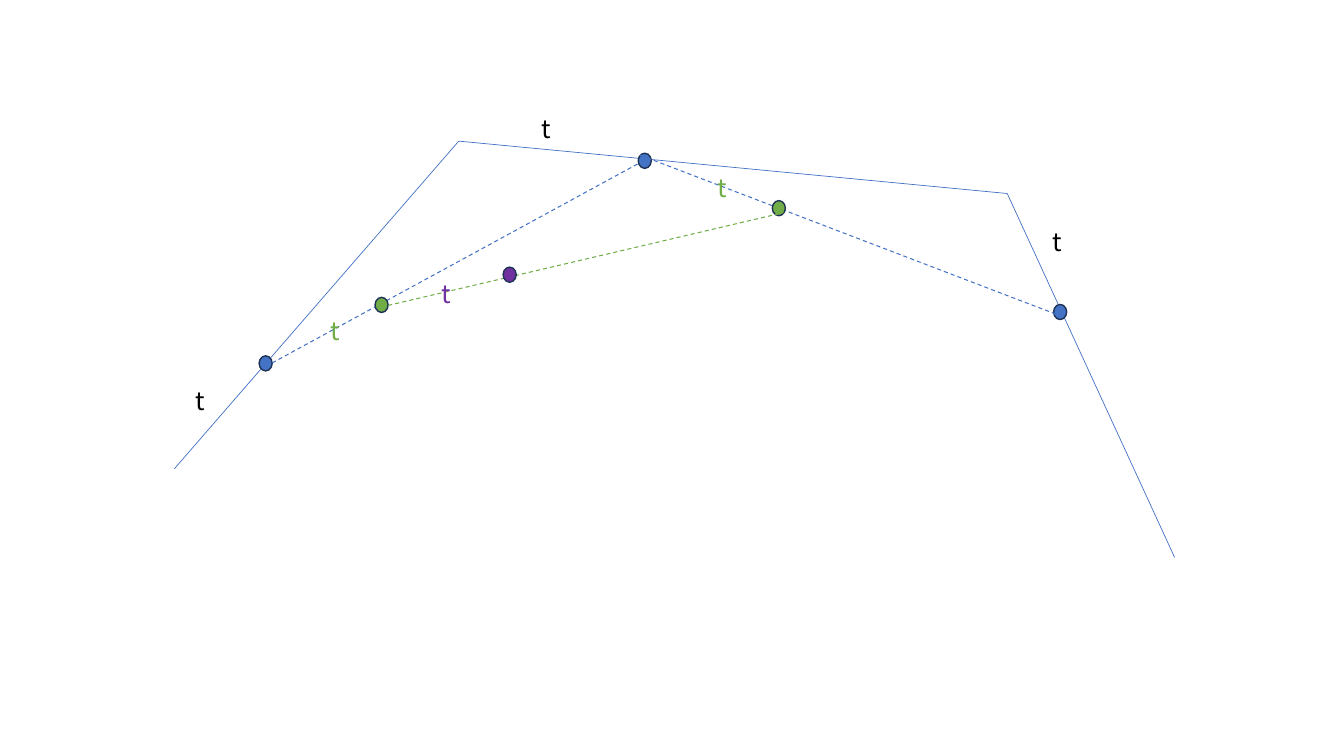
import pptx
import pptx.util
import pptx.dml.color
import pptx.enum.dml
import pptx.enum.shapes
import pptx.enum.text
from lxml import etree

Inches = pptx.util.Inches
Pt = pptx.util.Pt

FONT = "Noto Sans CJK SC"
BLUE, GREEN, PURPLE = "4472C4", "70AD47", "7030A0"
BLACK, OUTLINE = "000000", "1E3256"
DOT_SIZE = (0.13, 0.15)
LABEL_SIZE = (0.42, 0.4)

LEVELS = [
    {
        "polyline": [(1.73, 4.65), (4.55, 1.4), (9.99, 1.92), (11.65, 5.53)],
        "dashed": [((2.7, 3.6), (6.41, 1.58)), ((6.35, 1.54), (10.56, 3.15))],
        "dots": [(2.57, 3.53), (6.33, 1.52), (10.45, 3.02)],
        "labels": [(1.84, 3.77), (5.27, 1.08), (10.34, 2.2)],
        "color": BLUE,
        "label_color": BLACK,
    },
    {
        "polyline": [],
        "dashed": [((3.85, 3.03), (7.77, 2.11))],
        "dots": [(3.72, 2.95), (7.66, 1.99)],
        "labels": [(3.18, 3.08), (7.02, 1.66)],
        "color": GREEN,
        "label_color": GREEN,
    },
    {
        "polyline": [],
        "dashed": [],
        "dots": [(4.99, 2.65)],
        "labels": [(4.28, 2.71)],
        "color": PURPLE,
        "label_color": PURPLE,
    },
]


def rgb(value):
    return pptx.dml.color.RGBColor.from_string(value)


def add_segment(slide, start, end, color, width, dashed=False):
    segment = slide.shapes.add_connector(
        pptx.enum.shapes.MSO_CONNECTOR.STRAIGHT,
        *(Inches(v) for v in (*start, *end)))
    segment.line.color.rgb = rgb(color)
    segment.line.width = Pt(width)
    if dashed:
        segment.line.dash_style = pptx.enum.dml.MSO_LINE.DASH
    properties = segment.element.spPr
    etree.SubElement(properties, pptx.oxml.ns.qn("a:effectLst"))


def add_dot(slide, corner, color):
    dot = slide.shapes.add_shape(
        pptx.enum.shapes.MSO_SHAPE.OVAL,
        *(Inches(v) for v in (*corner, *DOT_SIZE)))
    dot.shadow.inherit = False
    dot.fill.solid()
    dot.fill.fore_color.rgb = rgb(color)
    dot.line.color.rgb = rgb(OUTLINE)
    dot.line.width = Pt(1)


def add_label(slide, corner, color):
    label = slide.shapes.add_textbox(*(Inches(v) for v in (*corner, *LABEL_SIZE)))
    frame = label.text_frame
    frame.word_wrap = True
    frame.auto_size = pptx.enum.text.MSO_AUTO_SIZE.SHAPE_TO_FIT_TEXT
    paragraph = frame.paragraphs[0]
    paragraph.text = "t"
    paragraph.font.name = FONT
    paragraph.font.size = Pt(18)
    paragraph.font.color.rgb = rgb(color)


def main():
    deck = pptx.Presentation()
    deck.slide_width = Inches(13.33)
    deck.slide_height = Inches(7.5)
    slide = deck.slides.add_slide(deck.slide_layouts[6])
    for level in LEVELS:
        for start, end in zip(level["polyline"], level["polyline"][1:]):
            add_segment(slide, start, end, level["color"], 0.5)
        for corner in level["dots"]:
            add_dot(slide, corner, level["color"])
        for start, end in level["dashed"]:
            add_segment(slide, start, end, level["color"], 0.75, dashed=True)
        for corner in level["labels"]:
            add_label(slide, corner, level["label_color"])
    deck.save("out.pptx")


if __name__ == "__main__":
    main()
